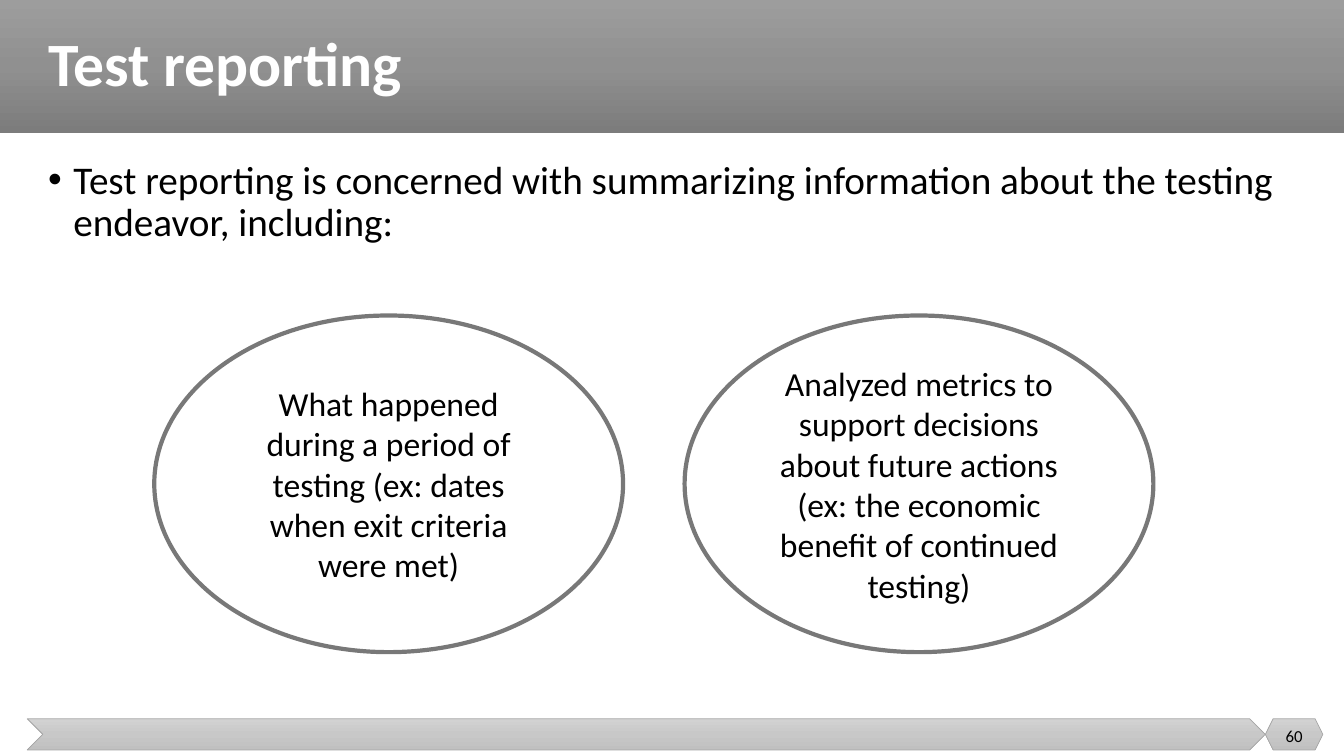
from copy import deepcopy
from typing import NamedTuple

from lxml import etree
from pptx import Presentation, util as u
from pptx.dml.color import RGBColor
from pptx.enum import shapes, text
from pptx.oxml.ns import qn

COLORS = {
    "white": "FFFFFF", "black": "000000", "outline": "787878", "footer_line": "A5A5A5",
    "banner_top": "9D9D9D", "banner_middle": "909090", "banner_bottom": "7C7C7C",
    "footer_top": "D2D2D2", "footer_middle": "C8C8C8", "footer_bottom": "C0C0C0",
}
FONT = "Calibri"
SLIDE_WIDTH, SLIDE_HEIGHT = u.Inches(13.33), u.Inches(7.5)


class Area(NamedTuple):
    """Left, top, width and height in percent of the slide."""
    left: float
    top: float
    width: float
    height: float

    def lengths(self) -> tuple:
        sizes = (SLIDE_WIDTH, SLIDE_HEIGHT) * 2
        return tuple(u.Emu(round(size * share / 100)) for size, share in zip(sizes, self))


class Band(NamedTuple):
    kind: shapes.MSO_SHAPE
    area: Area
    gradient: str
    line: str | None = None


BANNER = Area(0, 0, 100, 17.6)
TITLE = Area(2.85, 0, 95.57, 17.6)
BODY = Area(2.85, 20.53, 95.57, 69.2)
FIRST_ELLIPSE = Area(11.48, 41.73, 34.88, 44.53)
ELLIPSE_PITCH = 39.46
PAGE_NUMBER = Area(94.15, 94.67, 4.28, 5.33)

BANDS = [
    Band(shapes.MSO_SHAPE.RECTANGLE, BANNER, "banner"),
    Band(shapes.MSO_SHAPE.CHEVRON, Area(2.03, 95.07, 92.12, 4.13), "footer", "footer_line"),
    Band(shapes.MSO_SHAPE.HEXAGON, Area(94.15, 95.07, 4.28, 4.13), "footer", "footer_line"),
]
REPORT_CONTENTS = [
    ["What happened during a period of testing (ex: dates when exit criteria were met)"],
    ["Analyzed metrics to support decisions about future actions",
     "(ex: the economic benefit of continued testing)"],
]


def color(name: str) -> RGBColor:
    return RGBColor.from_string(COLORS[name])


def add_plain_shape(slide, kind: shapes.MSO_SHAPE, area: Area, line: str | None, width: float):
    shape = slide.shapes.add_shape(kind, *area.lengths())
    shape.shadow.inherit = False
    if line:
        shape.line.color.rgb = color(line)
        shape.line.width = u.Pt(width)
    else:
        shape.line.fill.background()
    return shape


def add_band(slide, band: Band) -> None:
    shape = add_plain_shape(slide, band.kind, band.area, band.line, 0.5)
    shape.fill.gradient()
    shape.fill.gradient_angle = 270
    stop_list = shape.element.spPr.find(qn("a:gradFill")).find(qn("a:gsLst"))
    stop_list.append(deepcopy(stop_list[0]))
    levels = ("top", "middle", "bottom")
    for index, (stop, level) in enumerate(zip(shape.fill.gradient_stops, levels)):
        stop.position = index / 2
        stop.color.rgb = color(f"{band.gradient}_{level}")


def write_text(shape, paragraphs: list[str], *, size: float, ink: str = "black",
               bold: bool = False, align=text.PP_ALIGN.LEFT, anchor=text.MSO_ANCHOR.MIDDLE,
               spacing: float = 1.0, bullet: bool = False, side_inset: float = 0.1) -> None:
    frame = shape.text_frame
    frame.word_wrap = True
    frame.vertical_anchor = anchor
    frame.margin_left = frame.margin_right = u.Inches(side_inset)
    frame.text = "\n".join(paragraphs)
    for paragraph in frame.paragraphs:
        paragraph.alignment = align
        paragraph.line_spacing = spacing
        if bullet:
            properties = paragraph._p.get_or_add_pPr()
            indent = u.Inches(0.25)
            properties.set("marL", str(indent))
            properties.set("indent", str(-indent))
            etree.SubElement(properties, qn("a:buFont")).set("typeface", "Arial")
            etree.SubElement(properties, qn("a:buChar")).set("char", "•")
        for run in paragraph.runs:
            run.font.name = FONT
            run.font.size = u.Pt(size)
            run.font.bold = bold
            run.font.color.rgb = color(ink)


def add_text(slide, area: Area, content: str, **text_format) -> None:
    write_text(slide.shapes.add_textbox(*area.lengths()), [content], **text_format)


def main() -> None:
    presentation = Presentation()
    presentation.slide_width, presentation.slide_height = SLIDE_WIDTH, SLIDE_HEIGHT
    slide = presentation.slides.add_slide(presentation.slide_layouts[6])

    # Banner and footer
    for band in BANDS:
        add_band(slide, band)

    # Title and introduction
    add_text(slide, TITLE, "Test reporting", size=44, ink="white", bold=True, spacing=0.9)
    add_text(slide, BODY, "Test reporting is concerned with summarizing information about "
             "the testing endeavor, including:", size=28, anchor=text.MSO_ANCHOR.TOP,
             spacing=0.9, bullet=True)

    # Contents of a report
    for index, paragraphs in enumerate(REPORT_CONTENTS):
        area = FIRST_ELLIPSE._replace(left=FIRST_ELLIPSE.left + index * ELLIPSE_PITCH)
        ellipse = add_plain_shape(slide, shapes.MSO_SHAPE.OVAL, area, "outline", 3)
        ellipse.fill.solid()
        ellipse.fill.fore_color.rgb = color("white")
        write_text(ellipse, paragraphs, size=24, align=text.PP_ALIGN.CENTER, side_inset=0.2)

    # Page number
    add_text(slide, PAGE_NUMBER, "60", size=12, align=text.PP_ALIGN.CENTER)

    presentation.save("out.pptx")


if __name__ == "__main__":
    main()
